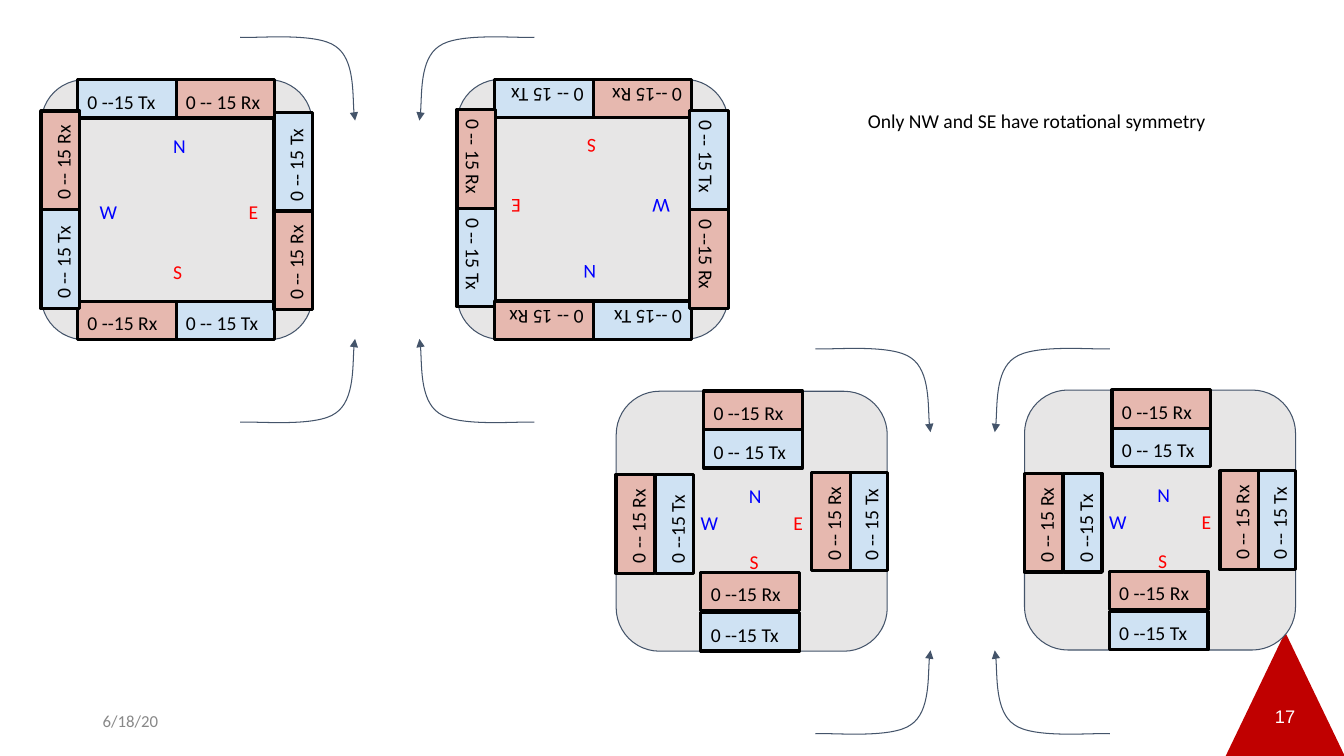
from dataclasses import dataclass

from lxml import etree
from pptx import Presentation
from pptx import util as u
from pptx.dml.color import RGBColor
from pptx.enum import shapes as sh, text as tx
from pptx.oxml.ns import qn


@dataclass(frozen=True)
class Theme:
    font: str = "Calibri"
    mono: str = "Arial"
    body: int = 14
    page: int = 13
    date: int = 12
    black: str = "000000"
    white: str = "FFFFFF"
    grey: str = "888888"
    red: str = "FF0000"
    blue: str = "0000FF"
    navy: str = "44546A"
    body_fill: str = "E7E6E6"
    tx_fill: str = "CFE2F3"
    rx_fill: str = "E6B8AF"
    flag: str = "C00000"


T = Theme()

# Lengths in cm; ports and marks hold centres relative to their chip
CHIP_W, CHIP_H = 6.83, 6.55
PORT_W, PORT_H = 2.49, 0.97
RING_PORTS = [
    ("0 -- 15 Tx", 4.64, 6.07, 0),
    ("0 --15 Rx", 2.16, 6.07, 0),
    ("0 -- 15 Tx", 6.35, 2.06, 270),
    ("0 -- 15 Rx", 6.35, 4.55, 270),
    ("0 -- 15 Rx", 4.64, 0.48, 0),
    ("0 --15 Tx", 2.16, 0.48, 0),
    ("0 -- 15 Tx", 0.48, 4.52, 270),
    ("0 -- 15 Rx", 0.48, 2.03, 270),
]
TURNED_PORTS = RING_PORTS[:-1] + [("0 --15 Rx", 0.48, 2.03, 270)]
RING_MARKS = [("S", 3.42, 4.78), ("N", 3.42, 1.61), ("E", 5.32, 3.27), ("W", 1.65, 3.27)]
STACK_PORTS = [
    ("0 --15 Tx", 3.38, 6.06, 0),
    ("0 --15 Rx", 3.38, 5.05, 0),
    ("0 -- 15 Tx", 6.35, 3.28, 270),
    ("0 -- 15 Rx", 5.41, 3.28, 270),
    ("0 -- 15 Tx", 3.45, 1.45, 0),
    ("0 --15 Rx", 3.45, 0.48, 0),
    ("0 --15 Tx", 1.47, 3.34, 270),
    ("0 -- 15 Rx", 0.48, 3.34, 270),
]
STACK_MARKS = [("S", 3.46, 4.24), ("N", 3.44, 2.58), ("E", 4.56, 3.25), ("W", 2.31, 3.25)]

# Two Bezier pieces of one arrow: two handles and an end, from its outer end
BEND_W, BEND_H = 2.9, 2.1
BENDS = [
    [(0.41, 0.03), (1.93, -0.13), (2.41, 0.23)],
    [(2.9, 0.56), (2.82, 1.8), (BEND_W, BEND_H)],
]


def block(host, kind, box, fill, line=None, width=0.75):
    item = host.shapes.add_shape(kind, *map(u.Cm, box))
    item.shadow.inherit = False
    item.fill.solid()
    item.fill.fore_color.rgb = RGBColor.from_string(fill)
    if line:
        item.line.color.rgb = RGBColor.from_string(line)
        item.line.width = u.Pt(width)
    else:
        item.line.fill.background()
    return item


def write(item, words, size=T.body, color=T.black, font=T.font,
          align=tx.PP_ALIGN.LEFT, anchor=tx.MSO_ANCHOR.TOP, pad=0.25):
    frame = item.text_frame
    frame.text = words
    frame.word_wrap = True
    frame.vertical_anchor = anchor
    frame.margin_left = frame.margin_right = u.Cm(0.25)
    frame.margin_top = frame.margin_bottom = u.Cm(pad)
    line = frame.paragraphs[0]
    line.alignment = align
    face = line.runs[0].font
    face.name, face.size = font, u.Pt(size)
    face.color.rgb = RGBColor.from_string(color)


def label(host, box, words, **style):
    item = host.shapes.add_textbox(*map(u.Cm, box))
    write(item, words, **style)
    return item


def chip(host, left, top, ports, marks, turn=0):
    def place(x, y, wide, high):
        if turn:
            x, y = CHIP_W - x, CHIP_H - y
        return left + x - wide / 2, top + y - high / 2, wide, high

    block(host, sh.MSO_SHAPE.ROUNDED_RECTANGLE, (left, top, CHIP_W, CHIP_H),
          T.body_fill, T.navy).rotation = turn
    for words, x, y, angle in ports:
        fill = T.tx_fill if words.endswith("Tx") else T.rx_fill
        port = block(host, sh.MSO_SHAPE.RECTANGLE, place(x, y, PORT_W, PORT_H),
                     fill, T.black, 2.25)
        port.rotation = (angle + turn) % 360
        write(port, words)
    for side, x, y in marks:
        wide = 0.86 if side == "W" else 0.69
        color = T.blue if side in "NW" else T.red
        label(host, place(x, y, wide, PORT_H), side, color=color).rotation = turn


def arrow(slide, x, y, dx, dy):
    ends = [(u.Cm(x + dx * px), u.Cm(y + dy * py)) for *_, (px, py) in BENDS]
    build = slide.shapes.build_freeform(u.Cm(x), u.Cm(y))
    build.add_line_segments(ends, close=False)
    item = build.convert_to_shape()
    item.shadow.inherit = False
    item.fill.background()
    item.line.color.rgb = RGBColor.from_string(T.navy)
    item.line.width = u.Pt(0.75)
    etree.SubElement(item.line._get_or_add_ln(), qn("a:tailEnd"), type="triangle")

    # Turn each straight piece into a Bezier curve
    for piece, bend in zip(list(item._element.iter(qn("a:lnTo"))), BENDS):
        curve = etree.Element(qn("a:cubicBezTo"))
        for px, py in bend:
            across = px if dx > 0 else BEND_W - px
            down = py if dy > 0 else BEND_H - py
            etree.SubElement(curve, qn("a:pt"),
                             x=str(u.Cm(across)), y=str(u.Cm(down)))
        piece.getparent().replace(piece, curve)


def arrows(slide, left, top, wide=7.42, high=9.7):
    for x, dx in ((left + wide, -1), (left, 1)):
        for y, dy in ((top, 1), (top + high, -1)):
            arrow(slide, x, y, dx, dy)


def page(slide, left, top):
    block(slide, sh.MSO_SHAPE.ISOSCELES_TRIANGLE, (left, top, 3, 3.12), T.flag)
    label(slide, (left + 0.48, top + 1.6, 2.03, 1.45), "17", size=T.page,
          color=T.white, font=T.mono, align=tx.PP_ALIGN.CENTER)


def main():
    deck = Presentation()
    deck.slide_width, deck.slide_height = u.Cm(33.87), u.Cm(19.05)
    slide = deck.slides.add_slide(deck.slide_layouts[6])

    # Page number
    page(slide, 30.89, 15.93)

    # Ring chips, the second one turned and grouped
    chip(slide, 1.04, 2.01, RING_PORTS, RING_MARKS)
    chip(slide.shapes.add_group_shape(), 11.52, 2, TURNED_PORTS, RING_MARKS, 180)
    arrows(slide, 6.05, 0.94)

    # Stacked chips
    chip(slide, 15.53, 9.86, STACK_PORTS, STACK_MARKS)
    arrows(slide, 20.55, 8.79)
    chip(slide, 25.82, 9.83, STACK_PORTS, STACK_MARKS)

    # Remark and date
    label(slide, (21.62, 2.49, 9.75, 1.45), "Only NW and SE have rotational symmetry")
    label(slide, (2.34, 17.65, 7.62, 1.02), "6/18/20", size=T.date, color=T.grey,
          anchor=tx.MSO_ANCHOR.MIDDLE, pad=0.13)

    deck.save("out.pptx")


if __name__ == "__main__":
    main()
